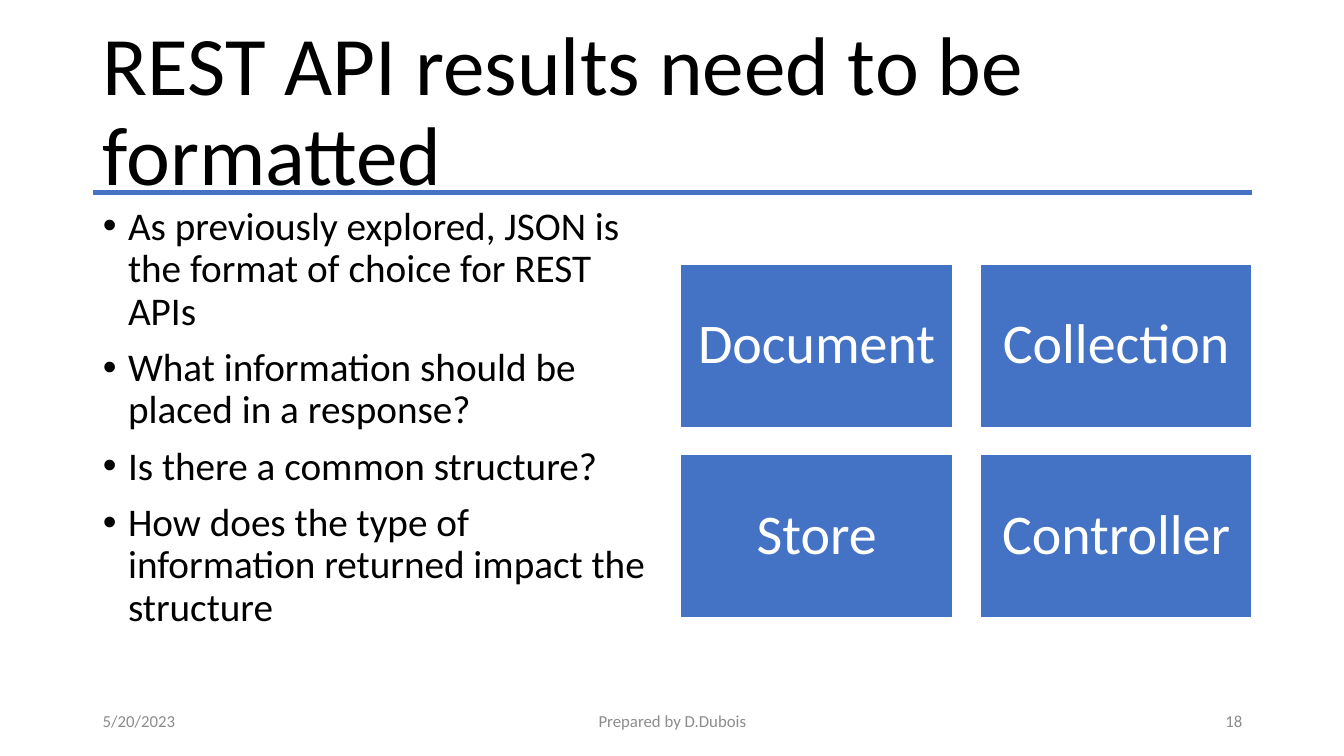
from pptx import Presentation
from pptx.dml.color import RGBColor
from pptx.enum.shapes import MSO_CONNECTOR, MSO_SHAPE
from pptx.enum.text import MSO_ANCHOR, MSO_AUTO_SIZE, PP_ALIGN
from pptx.oxml.ns import qn
from pptx.util import Emu, Pt

BLACK = RGBColor(0x00, 0x00, 0x00)
WHITE = RGBColor(0xFF, 0xFF, 0xFF)
BLUE = RGBColor(0x44, 0x72, 0xC4)
GRAY = RGBColor(0x8C, 0x8C, 0x8C)
FONT = "Calibri"

QUESTIONS = [
    "As previously explored, JSON is the format of choice for REST APIs",
    "What information should be placed in a response?",
    "Is there a common structure?",
    "How does the type of information returned impact the structure",
]
RESOURCE_TYPES = ["Document", "Collection", "Store", "Controller"]


def px(length):
    """Convert px, at 100 to the inch, into EMU."""
    return Emu(length * 9144)


def place(shape, left, top, width, height):
    shape.left, shape.top = px(left), px(top)
    shape.width, shape.height = px(width), px(height)


def format_paragraph(paragraph, size, color, alignment=PP_ALIGN.LEFT, line_spacing=0.9):
    paragraph.alignment = alignment
    paragraph.line_spacing = line_spacing
    paragraph.font.name = FONT
    paragraph.font.size = Pt(size)
    paragraph.font.color.rgb = color


def fill_title(title, text):
    place(title, 92, 40, 1150, 145)
    frame = title.text_frame
    frame.text = text
    frame.auto_size = MSO_AUTO_SIZE.NONE
    frame.vertical_anchor = MSO_ANCHOR.MIDDLE
    format_paragraph(frame.paragraphs[0], 59.4, BLACK)


def fill_bullets(body, items):
    place(body, 92, 200, 567, 476)
    frame = body.text_frame
    frame.text = "\n".join(items)
    frame.auto_size = MSO_AUTO_SIZE.NONE
    for paragraph in frame.paragraphs:
        format_paragraph(paragraph, 28, BLACK)
        paragraph.space_before = Pt(10)
        # Hanging indent of the bullet
        properties = paragraph._p.get_or_add_pPr()
        properties.set("marL", str(px(25)))
        properties.set("indent", str(px(-25)))


def add_rule(slide, left, right, y):
    rule = slide.shapes.add_connector(
        MSO_CONNECTOR.STRAIGHT, px(left), px(y), px(right), px(y))
    rule.line.color.rgb = BLUE
    rule.line.width = Pt(3)
    properties = rule._element.spPr
    properties.append(properties.makeelement(qn("a:effectLst"), {}))


def add_box(slide, text, left, top, width, height):
    box = slide.shapes.add_shape(
        MSO_SHAPE.RECTANGLE, px(left), px(top), px(width), px(height))
    box.shadow.inherit = False
    box.fill.solid()
    box.fill.fore_color.rgb = BLUE
    box.line.color.rgb = WHITE
    box.line.width = Pt(1)
    frame = box.text_frame
    frame.text = text
    frame.word_wrap = True
    frame.vertical_anchor = MSO_ANCHOR.MIDDLE
    frame.margin_left = frame.margin_right = px(15)
    format_paragraph(frame.paragraphs[0], 40, WHITE, PP_ALIGN.CENTER)


def add_box_grid(slide, labels):
    columns, width, height, gap = 2, 270, 162, 27
    for index, label in enumerate(labels):
        row, column = divmod(index, columns)
        add_box(slide, label, 675 + column * (width + gap),
                262 + row * (height + gap), width, height)


def add_footer(slide, text, left, width, alignment):
    footer = slide.shapes.add_textbox(px(left), px(695), px(width), px(40))
    frame = footer.text_frame
    frame.text = text
    frame.word_wrap = True
    frame.vertical_anchor = MSO_ANCHOR.MIDDLE
    format_paragraph(frame.paragraphs[0], 12, GRAY, alignment, 1.0)


def main():
    presentation = Presentation()
    presentation.slide_width, presentation.slide_height = px(1333), px(750)
    slide = presentation.slides.add_slide(presentation.slide_layouts[1])

    # Heading and the rule below it
    fill_title(slide.shapes.title, "REST API results need to be formatted")
    add_rule(slide, 92, 1242, 191)

    # Questions on the left, resource types on the right
    fill_bullets(slide.placeholders[1], QUESTIONS)
    add_box_grid(slide, RESOURCE_TYPES)

    # Footer line
    add_footer(slide, "5/20/2023", 92, 300, PP_ALIGN.LEFT)
    add_footer(slide, "Prepared by D.Dubois", 442, 450, PP_ALIGN.CENTER)
    add_footer(slide, "18", 942, 300, PP_ALIGN.RIGHT)

    presentation.save("out.pptx")


if __name__ == "__main__":
    main()
